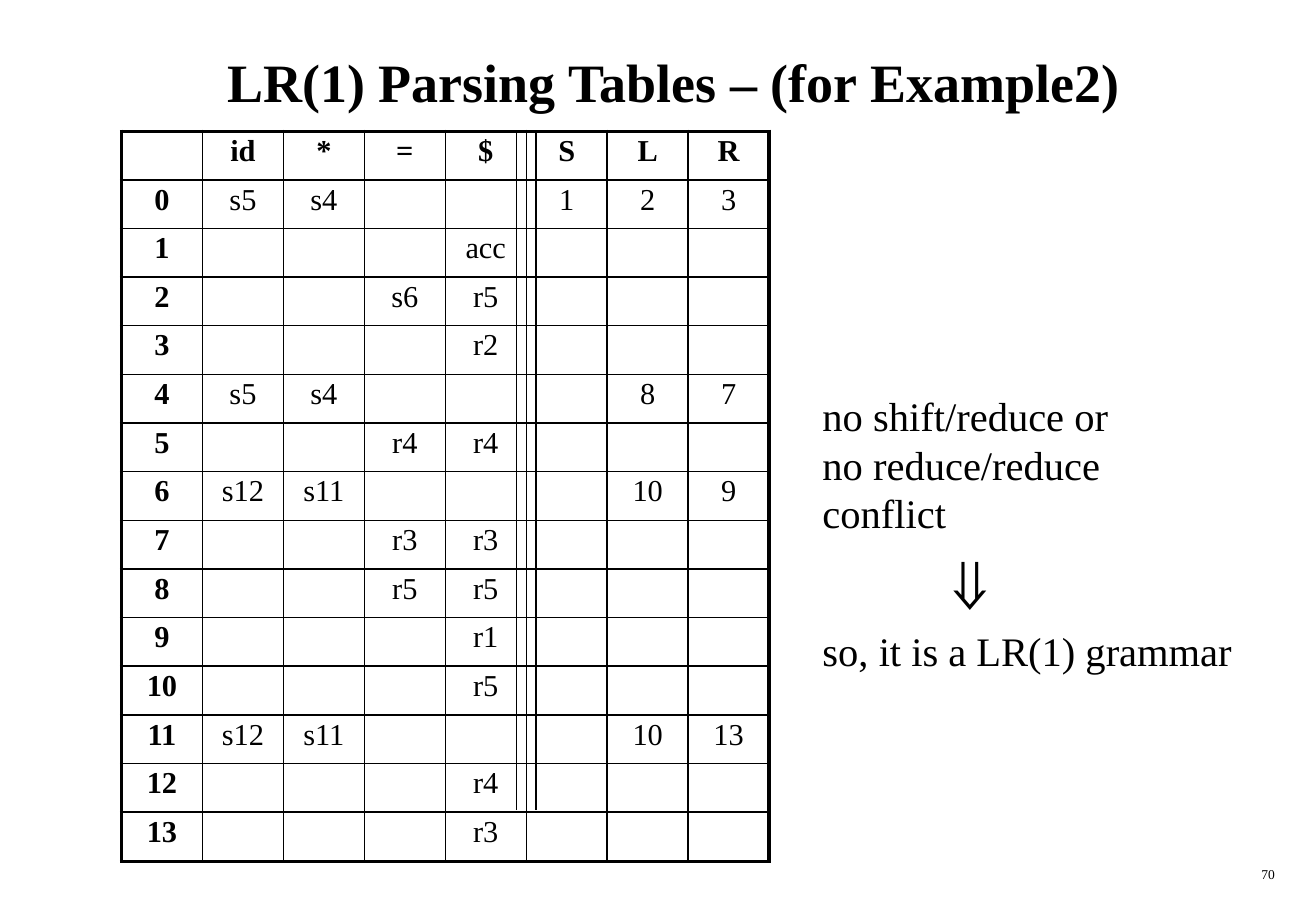
"""Build the LR(1) parsing table slide for Example2."""
from lxml.etree import SubElement
from pptx import Presentation
from pptx.dml.color import RGBColor
from pptx.enum.shapes import MSO_CONNECTOR
from pptx.enum.text import MSO_ANCHOR, PP_ALIGN
from pptx.oxml.ns import qn
from pptx.util import Inches, Pt

TITLE = "LR(1) Parsing Tables – (for Example2)"
SYMBOLS = ["id", "*", "=", "$", "S", "L", "R"]
STATES = [
    {"id": "s5", "*": "s4", "S": "1", "L": "2", "R": "3"},
    {"$": "acc"},
    {"=": "s6", "$": "r5"},
    {"$": "r2"},
    {"id": "s5", "*": "s4", "L": "8", "R": "7"},
    {"=": "r4", "$": "r4"},
    {"id": "s12", "*": "s11", "L": "10", "R": "9"},
    {"=": "r3", "$": "r3"},
    {"=": "r5", "$": "r5"},
    {"$": "r1"},
    {"$": "r5"},
    {"id": "s12", "*": "s11", "L": "10", "R": "13"},
    {"$": "r4"},
    {"$": "r3"},
]
CONCLUSION = [
    ("no shift/reduce or", 24, 0),
    ("no reduce/reduce conflict", 24, 0),
    ("⇓", 44, 1),
    ("so, it is a LR(1) grammar", 24, 0),
]
PAGE_NUMBER = "70"

COLORS = {"ink": "000000"}
FONT = "Times New Roman"
SLIDE_WIDTH, SLIDE_HEIGHT = 10.83, 7.5
TABLE_LEFT, TABLE_TOP = 1, 1.08
TABLE_WIDTH, TABLE_HEIGHT = 5.33, 5.69
LAST_ROW_HEIGHT = 0.41
DIVIDER_BOTTOM = 6.67
DIVIDER_OFFSET = 0.08
OUTER_BORDER, INNER_BORDER = 2.25, 1


def add_run(paragraph, text, size, bold=False):
    run = paragraph.add_run()
    run.text = text
    run.font.name = FONT
    run.font.size = Pt(size)
    run.font.bold = bold
    run.font.color.rgb = RGBColor.from_string(COLORS["ink"])


def add_text(slide, box, lines, alignment, bold=False, anchor=MSO_ANCHOR.TOP):
    frame = slide.shapes.add_textbox(*map(Inches, box)).text_frame
    frame.word_wrap = True
    frame.vertical_anchor = anchor
    for index, (text, size, indent) in enumerate(lines):
        paragraph = frame.add_paragraph() if index else frame.paragraphs[0]
        paragraph.alignment = alignment
        if indent:
            properties = paragraph._p.get_or_add_pPr()
            properties.set("marL", str(Inches(indent)))
            properties.set("indent", "0")
        add_run(paragraph, text, size, bold)


def set_borders(cell, widths):
    properties = cell._tc.get_or_add_tcPr()
    for side, width in widths.items():
        line = SubElement(properties, qn(f"a:{side}"), w=str(Pt(width)))
        fill = SubElement(line, qn("a:solidFill"))
        SubElement(fill, qn("a:srgbClr"), val=COLORS["ink"])


def add_parsing_table(slide):
    rows = [["", *SYMBOLS]]
    for number, actions in enumerate(STATES):
        rows.append([str(number), *(actions.get(symbol, "") for symbol in SYMBOLS)])
    last_row, last_column = len(rows) - 1, len(SYMBOLS)
    box = map(Inches, (TABLE_LEFT, TABLE_TOP, TABLE_WIDTH, TABLE_HEIGHT))
    table = slide.shapes.add_table(len(rows), last_column + 1, *box).table
    table.first_row = table.horz_banding = False
    for column in table.columns:
        column.width = Inches(TABLE_WIDTH / len(rows[0]))
    for index, row in enumerate(table.rows):
        regular = (TABLE_HEIGHT - LAST_ROW_HEIGHT) / last_row
        row.height = Inches(LAST_ROW_HEIGHT if index == last_row else regular)
    for r, row in enumerate(rows):
        for c, text in enumerate(row):
            cell = table.cell(r, c)
            outer = {"lnL": c == 0, "lnR": c == last_column,
                     "lnT": r == 0, "lnB": r == last_row}
            set_borders(cell, {side: OUTER_BORDER if edge else INNER_BORDER
                               for side, edge in outer.items()})
            cell.fill.background()
            paragraph = cell.text_frame.paragraphs[0]
            paragraph.alignment = PP_ALIGN.CENTER
            paragraph.line_spacing = 0.9
            if text:
                add_run(paragraph, text, 18, bold=r == 0 or c == 0)


def add_divider(slide, x):
    ends = map(Inches, (x, TABLE_TOP, x, DIVIDER_BOTTOM))
    divider = slide.shapes.add_connector(MSO_CONNECTOR.STRAIGHT, *ends)
    divider.line.color.rgb = RGBColor.from_string(COLORS["ink"])
    divider.line.width = Pt(0.75)
    SubElement(divider._element.spPr, qn("a:effectLst"))


def main():
    presentation = Presentation()
    presentation.slide_width = Inches(SLIDE_WIDTH)
    presentation.slide_height = Inches(SLIDE_HEIGHT)
    slide = presentation.slides.add_slide(presentation.slide_layouts[6])
    add_text(slide, (8.33, 7.08, 2.26, 0.25), [(PAGE_NUMBER, 8, 0)], PP_ALIGN.RIGHT)
    add_text(slide, (0.42, 0.17, 10.25, 1), [(TITLE, 32, 0)], PP_ALIGN.CENTER,
             bold=True, anchor=MSO_ANCHOR.MIDDLE)
    add_parsing_table(slide)
    middle = TABLE_LEFT + TABLE_WIDTH * 5 / 8
    for side in (1, -1):
        add_divider(slide, middle + side * DIVIDER_OFFSET)
    add_text(slide, (6.67, 3.17, 3.58, 2.03), CONCLUSION, PP_ALIGN.LEFT)
    presentation.save("out.pptx")


if __name__ == "__main__":
    main()
